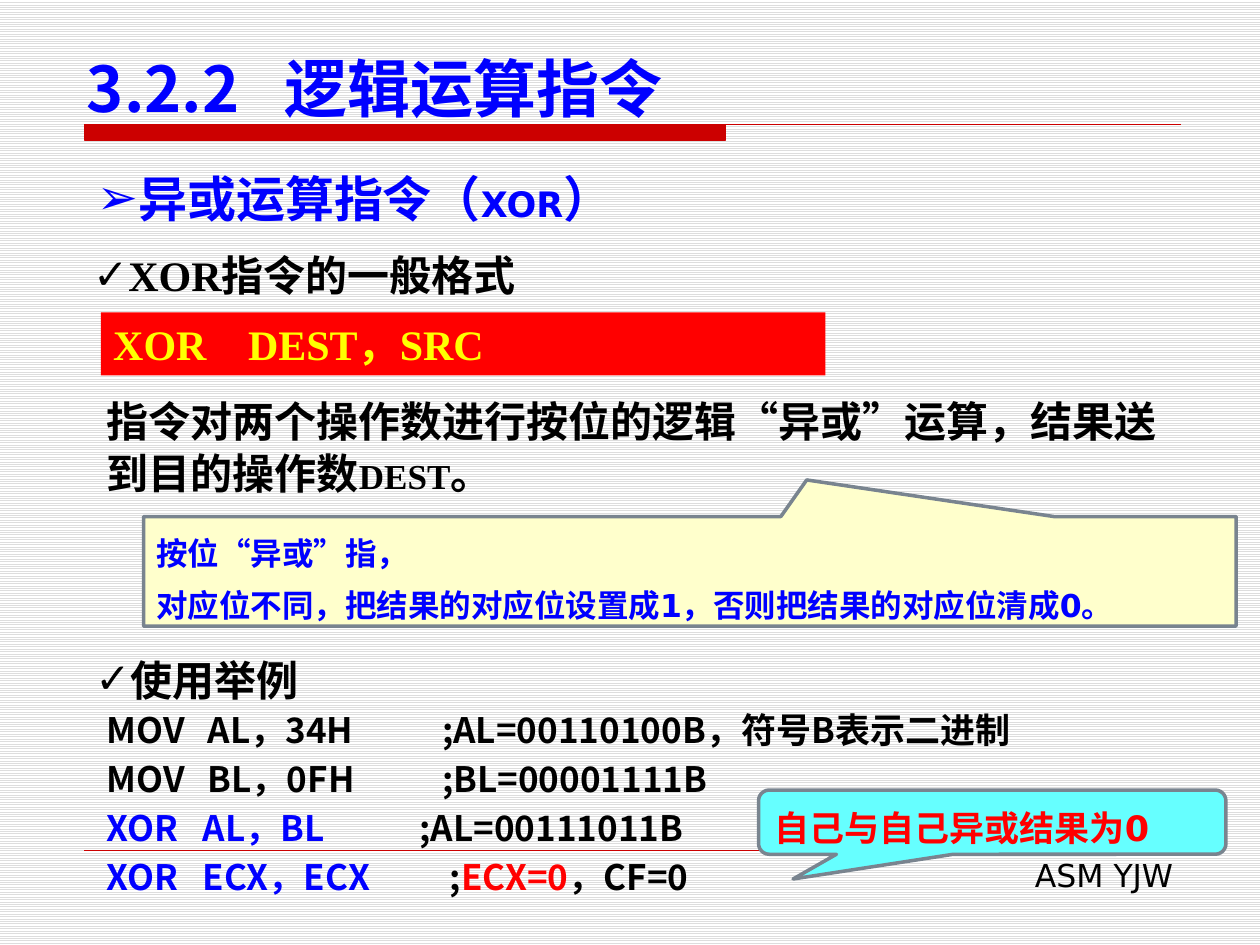
from dataclasses import dataclass

from lxml.etree import SubElement
from pptx import Presentation
from pptx.dml.color import RGBColor as Rgb
from pptx.enum.dml import MSO_PATTERN as Pattern
from pptx.enum.shapes import MSO_CONNECTOR as Connector, MSO_SHAPE as Shape
from pptx.enum.text import MSO_ANCHOR as Anchor, MSO_AUTO_SIZE as AutoSize, PP_ALIGN as Align
from pptx.oxml.ns import qn
from pptx.util import Emu, Pt

EMU_PER_PX = 9144


def px(length):
    return Emu(length * EMU_PER_PX)


def apply(target, values):
    for name, value in values.items():
        setattr(target, name, value)


@dataclass(frozen=True)
class Theme:
    black: str = "000000"
    blue: str = "0000FF"
    red: str = "FF0000"
    yellow: str = "FFFF00"
    cream: str = "FFFFCC"
    cyan: str = "66FFFF"
    rule: str = "CC0000"
    outline: str = "79848F"
    stripe: str = "DDDDDD"
    white: str = "FFFFFF"
    title: int = 36
    heading: int = 28
    body: int = 24
    code: int = 20
    note: int = 18
    sans: str = "DejaVu Sans"
    serif: str = "Times New Roman"
    chinese: str = "Noto Sans CJK SC"


class SlideBuilder:
    def __init__(self, deck, theme):
        self.theme = theme
        self.page = deck.slides.add_slide(deck.slide_layouts[5])
        fill = self.page.background.fill
        fill.patterned()
        fill.pattern = Pattern.LIGHT_HORIZONTAL
        fill.fore_color.rgb = Rgb.from_string(theme.stripe)
        fill.back_color.rgb = Rgb.from_string(theme.white)

    def fill_frame(self, frame, lines, size, color, face, bold=True, align=Align.LEFT,
                   leading=None, before=0, bullet=None, indent=0, stops=(), anchor=Anchor.TOP):
        apply(frame, {"word_wrap": True, "auto_size": AutoSize.NONE, "vertical_anchor": anchor})
        for index, spans in enumerate(lines):
            para = frame.add_paragraph() if index else frame.paragraphs[0]
            apply(para, {"alignment": align, "space_before": Pt(before),
                         "line_spacing": Pt(leading or round(size * 1.2))})
            if bullet:
                self.add_bullet(para, bullet, indent)
            if stops:
                self.add_stops(para, stops[index])
            for text, *changes in spans:
                values = {"size": size, "color": color, **(changes[0] if changes else {})}
                span = para.add_run()
                span.text = text
                apply(span.font, {"size": Pt(values["size"]), "bold": bold, "name": face})
                span.font.color.rgb = Rgb.from_string(values["color"])
                SubElement(span.font._element, qn("a:ea"), typeface=self.theme.chinese)

    def add_bullet(self, para, mark, indent):
        props = para._p.get_or_add_pPr()
        props.set("marL", str(px(indent)))
        props.set("indent", str(-px(indent)))
        SubElement(props, qn("a:buFont"), typeface=self.theme.sans)
        SubElement(props, qn("a:buChar"), char=mark)

    def add_stops(self, para, stops):
        tabs = SubElement(para._p.get_or_add_pPr(), qn("a:tabLst"))
        for stop in stops:
            SubElement(tabs, qn("a:tab"), pos=str(px(stop)), algn="l")

    def title(self, area, lines, **style):
        box = self.page.shapes.title
        apply(box, dict(zip(("left", "top", "width", "height"), map(px, area))))
        apply(box.text_frame, {"margin_bottom": px(1)})
        self.fill_frame(box.text_frame, lines, anchor=Anchor.BOTTOM, **style)

    def text(self, area, lines, **style):
        box = self.page.shapes.add_textbox(*map(px, area))
        self.fill_frame(box.text_frame, lines, **style)

    def shape(self, kind, area, fill, lines, line=None, adjust=(), **style):
        box = self.page.shapes.add_shape(kind, *map(px, area))
        box.shadow.inherit = False
        for index, value in enumerate(adjust):
            box.adjustments[index] = value
        self.paint(box, fill, line, 2)
        self.fill_frame(box.text_frame, lines, **style)

    def paint(self, box, fill, line, width):
        box.fill.solid()
        box.fill.fore_color.rgb = Rgb.from_string(fill)
        if line:
            box.line.color.rgb = Rgb.from_string(line)
            box.line.width = Pt(width)
        else:
            box.line.fill.background()

    def title_rule(self, left, top, bar_right, bottom, right):
        outline = self.page.shapes.build_freeform(left, top, scale=EMU_PER_PX)
        outline.add_line_segments([(bar_right, top), (bar_right, bottom), (left, bottom)])
        outline.move_to(left, top)
        outline.add_line_segments([(right, top)], close=False)
        bar = outline.convert_to_shape()
        bar.shadow.inherit = False
        self.paint(bar, self.theme.rule, self.theme.rule, 0.75)

    def line(self, start, end, color, width):
        rule = self.page.shapes.add_connector(Connector.STRAIGHT, *map(px, start + end))
        rule.line.color.rgb = Rgb.from_string(color)
        rule.line.width = Pt(width)
        SubElement(rule._element.spPr, qn("a:effectLst"))


def main():
    deck = Presentation()
    apply(deck, {"slide_width": px(1000), "slide_height": px(750)})
    theme = Theme()
    slide = SlideBuilder(deck, theme)
    body = {"size": theme.body, "color": theme.black, "face": theme.serif}
    check = {**body, "bullet": "✓", "indent": 28}
    blue, red = {"color": theme.blue}, {"color": theme.red}
    small = {"size": theme.code}

    slide.title_rule(67, 99, 576, 111, 937)
    slide.line((67, 675), (933, 675), theme.rule, 0.25)
    slide.text((382, 674, 559, 40), [[("ASM YJW",)]], size=theme.note, color=theme.black,
               face=theme.sans, bold=False, align=Align.RIGHT)
    slide.title((59, 29, 906, 71), [[("3.2.2\t逻辑运算指令",)]], size=theme.title,
                color=theme.blue, face=theme.chinese, stops=[(157,)])
    slide.text((64, 193, 733, 50), [[("XOR指令的一般格式",)]], **check)
    slide.shape(Shape.RECTANGLE, (80, 248, 575, 50), theme.red, [[("XOR\tDEST，SRC",)]],
                **{**body, "color": theme.yellow}, stops=[(107,)])
    slide.text((75, 307, 858, 91),
               [[("指令对两个操作数进行按位的逻辑“异或”运算，结果送到目的操作数",),
                 ("DEST", small), ("。",)]], **body, leading=30, before=12)
    slide.text((67, 128, 866, 57), [[("异或运算指令（",), ("XOR", small), ("）",)]],
               size=theme.heading, color=theme.blue, face=theme.sans,
               align=Align.JUSTIFY, bullet="➢", indent=33)
    slide.text((66, 514, 426, 50), [[("使用举例",)]], **check)
    slide.text((75, 557, 782, 165),
               [[("MOV\tAL，34H\t;AL=00110100B，符号B表示二进制",)],
                [("MOV\tBL，0FH\t;BL=00001111B",)],
                [("XOR\tAL，BL\t", blue), (";AL=00111011B",)],
                [("XOR\tECX，ECX\t", blue), (";",), ("ECX=0", red), ("，CF=0",)]],
               size=theme.code, color=theme.black, face=theme.chinese, leading=24, before=4,
               stops=[(80, 266), (80, 266), (76, 248), (76, 272)])
    callout = {"line": theme.outline, "face": theme.sans, "leading": 30, "anchor": Anchor.MIDDLE}
    slide.shape(Shape.ROUNDED_RECTANGULAR_CALLOUT, (602, 627, 371, 51), theme.cyan,
                [[("自己与自己异或结果为0",)]], adjust=(-0.426, 0.885, 0.167),
                size=theme.code, color=theme.red, **callout)
    slide.shape(Shape.RECTANGULAR_CALLOUT, (114, 410, 867, 87), theme.cream,
                [[("按位“异或”指，",)],
                 [("对应位不同，把结果的对应位设置成1，否则把结果的对应位清成0。",)]],
                adjust=(0.107, -0.834), size=theme.note, color=theme.blue, **callout)
    deck.save("out.pptx")


if __name__ == "__main__":
    main()
